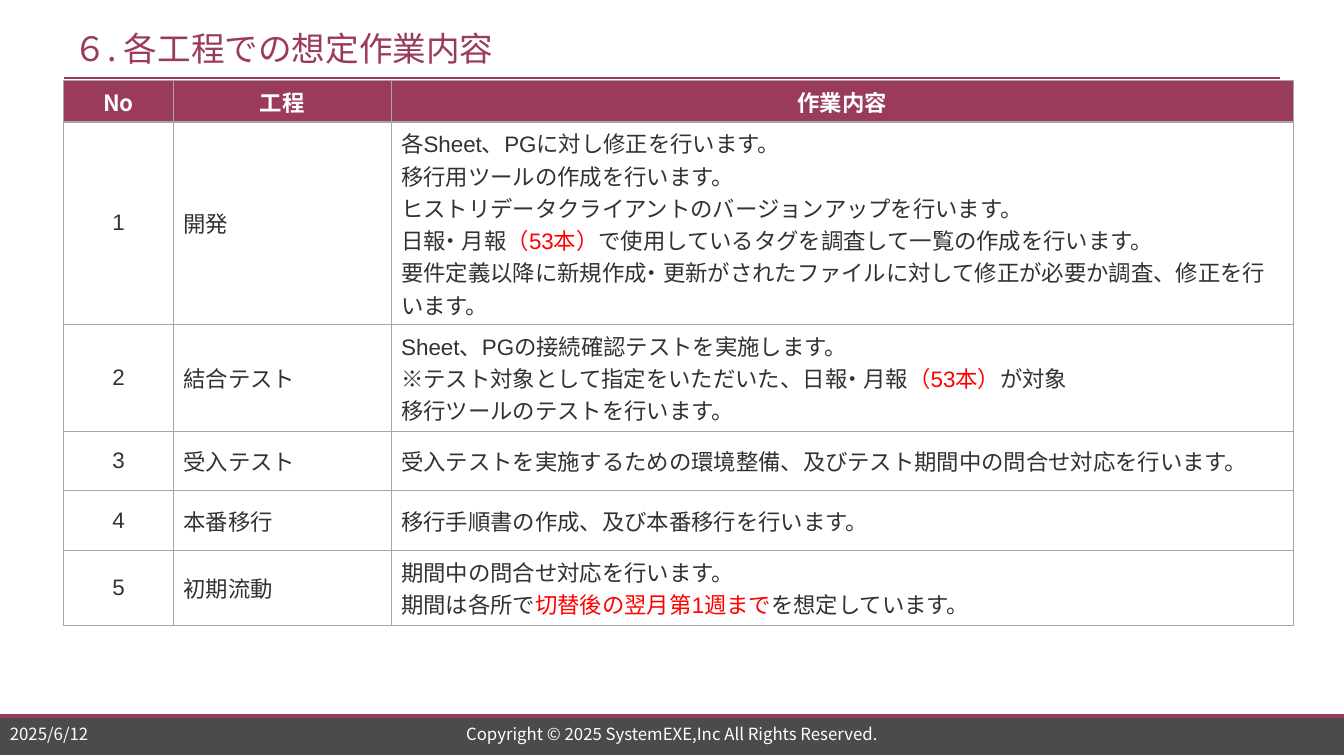
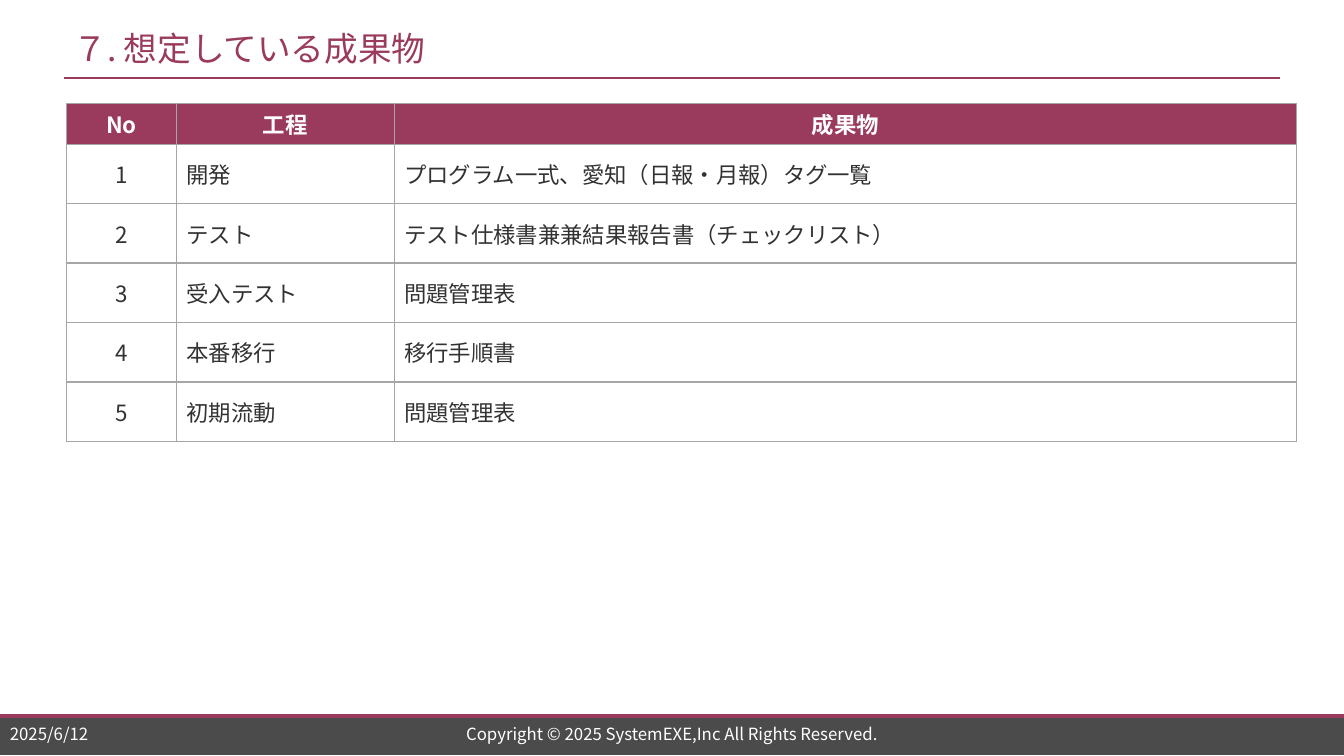
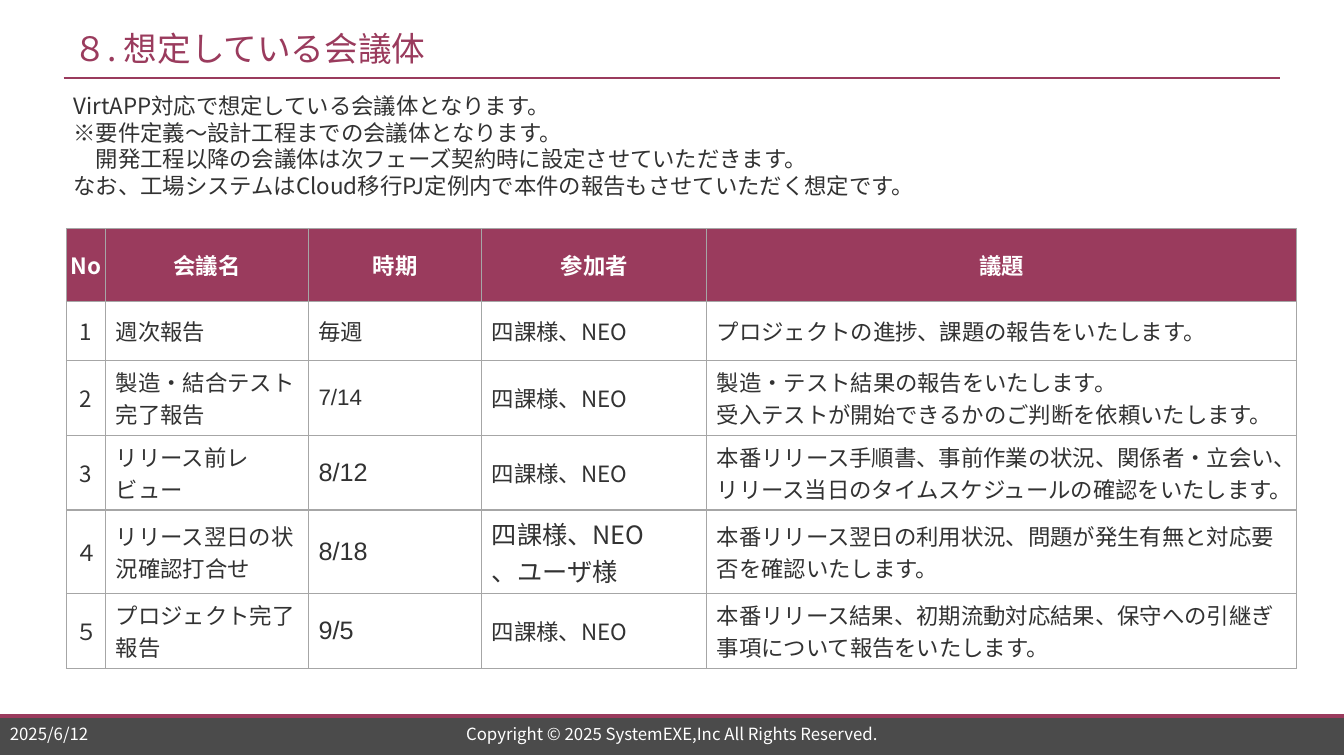
import pptx
import pptx.dml.color
import pptx.enum.shapes
import pptx.enum.text
import pptx.oxml
import pptx.oxml.ns
import pptx.util
from pptx.util import Inches

WINE, DARK, INK, RED, GRAY, WHITE = "9A3B5D", "4B4B4B", "323232", "FF0000", "A6A6A6", "FFFFFF"
SANS, ARIAL = "Noto Sans CJK JP", "Arial"
LEFT, CENTER = pptx.enum.text.PP_ALIGN.LEFT, pptx.enum.text.PP_ALIGN.CENTER
MIDDLE = pptx.enum.text.MSO_ANCHOR.MIDDLE
SLIDE_W = 13.33
ROW_H, TWO_LINES_H = 0.59, 0.74
WIDE_COLS = [1.09, 2.16, 8.95]

# Text between bars is red, text between carets is set tight;
# a new line is a new paragraph.
# A cell is a string, or (text, size, Latin font of each paragraph).
SLIDES = [
    {
        "title": "６. 各工程での想定作業内容",
        "at": (0.63, 0.8),
        "cols": WIDE_COLS,
        "font": ARIAL,
        "heights": [0.41, 2.01, 1.06, ROW_H, ROW_H, 0.75],
        "rows": [
            ["No", "工程", "作業内容"],
            ["1", "開発",
             "各Sheet、PGに対し修正を行います。\n"
             "移行用ツールの作成を行います。\n"
             "ヒストリデータクライアントのバージョンアップを行います。\n"
             "日^報・^月報|（53本）|で使用しているタグを調査して一覧の作成を行います。\n"
             "要件定義以降に新規作^成・^更新がされたファイルに対して修正が必要か調査、修正を行います。"],
            ["2", "結合テスト",
             "Sheet、PGの接続確認テストを実施します。\n"
             "※テスト対象として指定をいただいた、日^報・^月報|（53本）|が対象\n"
             "移行ツールのテストを行います。"],
            ["3", "受入テスト",
             "受入テストを実施するための環境整備、及びテスト期間中の問合せ対応を行います。"],
            ["4", "本番移行", "移行手順書の作成、及び本番移行を行います。"],
            ["5", "初期流動",
             "期間中の問合せ対応を行います。\n"
             "期間は各所で|切替後の翌月第1週まで|を想定しています。"],
        ],
    },
    {
        "title": "７. 想定している成果物",
        "at": (0.66, 1.03),
        "cols": WIDE_COLS,
        "heights": [0.4] + [ROW_H] * 5,
        "rows": [
            ["No", "工程", "成果物"],
            ["1", "開発", "プログラム一式、愛知（日報・月報）タグ一覧"],
            ["2", "テスト", "テスト仕様書兼兼結果報告書（チェックリスト）"],
            ["3", "受入テスト", "問題管理表"],
            ["4", "本番移行", "移行手順書"],
            ["5", "初期流動", "問題管理表"],
        ],
    },
    {
        "title": "８. 想定している会議体",
        "intro": "VirtAPP対応で想定している会議体となります。\n"
                 "※要件定義～設計工程までの会議体となります。\n"
                 "　開発工程以降の会議体は次フェーズ契約時に設定させていただきます。\n"
                 "なお、工場システムはCloud移行PJ定例内で本件の報告もさせていただく想定です。",
        "at": (0.66, 2.27),
        "cols": [0.39, 2.01, 1.72, 2.23, 5.85],
        "heights": [0.72, ROW_H, TWO_LINES_H, TWO_LINES_H, 0.83, TWO_LINES_H],
        "rows": [
            ["No", "会議名", "時期", "参加者", "議題"],
            ["1", "週次報告", "毎週", "四課様、NEO",
             "プロジェクトの進捗、課題の報告をいたします。"],
            ["2", "製造・結合テスト完了報告", ("7/14", 16, [ARIAL]), "四課様、NEO",
             "製造・テスト結果の報告をいたします。\n"
             "受入テストが開始できるかのご判断を依頼いたします。"],
            ["3", "リリース前レビュー", ("8/12", 18, [ARIAL]), "四課様、NEO",
             "本番リリース手順書、事前作業の状況、関係者・立会い、"
             "リリース当日のタイムスケジュールの確認をいたします。"],
            ["４", "リリース翌日の状況確認打合せ", ("8/18", 18, [ARIAL]),
             ("四課様、NEO\n、ユーザ様", 18, [SANS, "Calibri"]),
             "本番リリース翌日の利用状況、問題が発生有無と対応要否を確認いたします。"],
            ["５", "プロジェクト完了報告", ("9/5", 18, [ARIAL]), "四課様、NEO",
             "本番リリース結果、初期流動対応結果、保守への引継ぎ事項について報告をいたします。"],
        ],
    },
]


def rgb(color):
    return pptx.dml.color.RGBColor.from_string(color)


def add_run(p, text, size, color, font, bold, tight):
    r = p.add_run()
    r.text = text
    r.font.size = pptx.util.Pt(size)
    r.font.bold = bold
    r.font.name = font
    r.font.color.rgb = rgb(color)
    r.font._element.append(pptx.oxml.parse_xml(
        f'<a:ea {pptx.oxml.ns.nsdecls("a")} typeface="{SANS}"/>'))
    if tight:
        r.font._element.set("spc", "-450")


def write(tf, text, size, color, fonts=(SANS,), bold=False, align=LEFT, spacing=None):
    """Fill a text frame; the last of fonts serves all remaining paragraphs."""
    for i, line in enumerate(text.split("\n")):
        p = tf.paragraphs[0] if i == 0 else tf.add_paragraph()
        p.alignment = align
        if spacing:
            p.line_spacing = pptx.util.Pt(spacing)
        font = fonts[min(i, len(fonts) - 1)]
        for j, part in enumerate(line.split("|")):
            for k, piece in enumerate(part.split("^")):
                add_run(p, piece, size, RED if j % 2 else color, font, bold, k % 2)


def add_text(s, box, text, size, color, anchor=MIDDLE, **style):
    tf = s.shapes.add_textbox(*map(Inches, box)).text_frame
    tf.word_wrap = True
    tf.vertical_anchor = anchor
    write(tf, text, size, color, **style)


def add_rule(s, x1, x2, y, width):
    line = s.shapes.add_connector(pptx.enum.shapes.MSO_CONNECTOR.STRAIGHT,
                                  Inches(x1), Inches(y), Inches(x2), Inches(y))
    line.line.color.rgb = rgb(WINE)
    line.line.width = pptx.util.Pt(width)
    line._element.spPr.append(
        pptx.oxml.parse_xml(f'<a:effectLst {pptx.oxml.ns.nsdecls("a")}/>'))


def add_frame(s, title):
    """Draw the title, its rule and the footer."""
    band = s.shapes.add_shape(pptx.enum.shapes.MSO_SHAPE.RECTANGLE,
                              *map(Inches, (0, 7.1, SLIDE_W, 0.39)))
    band.shadow.inherit = False
    band.fill.solid()
    band.fill.fore_color.rgb = rgb(DARK)
    band.line.fill.background()
    add_rule(s, 0, SLIDE_W, 7.1, 2.75)
    add_rule(s, 0.63, 12.7, 0.77, 1.5)
    add_text(s, (0.63, 0.2, 12.07, 0.55), title, 24, WINE)
    add_text(s, (0, 7.16, 1.57, 0.24), "2025/6/12", 12, WHITE)
    add_text(s, (3.32, 7.16, 6.69, 0.24),
             "Copyright © 2025 SystemEXE,Inc All Rights Reserved.", 12, WHITE, align=CENTER)


def set_borders(cell):
    tcPr = cell._tc.get_or_add_tcPr()
    for i, side in enumerate("LRTB"):
        tcPr.insert(i, pptx.oxml.parse_xml(
            f'<a:ln{side} {pptx.oxml.ns.nsdecls("a")} w="12700"><a:solidFill>'
            f'<a:srgbClr val="{GRAY}"/></a:solidFill></a:ln{side}>'))


def fill_cell(cell, content, is_header, is_number, font):
    text, size, fonts = (content, 16, [font]) if isinstance(content, str) else content
    centered = is_header or is_number
    cell.vertical_anchor = MIDDLE
    if centered:
        cell.margin_left = cell.margin_right = Inches(0.04)
        cell.margin_top = cell.margin_bottom = Inches(0.04)
    if is_header:
        cell.fill.solid()
        cell.fill.fore_color.rgb = rgb(WINE)
    else:
        cell.fill.background()
    set_borders(cell)
    write(cell.text_frame, text, size, WHITE if is_header else INK, fonts,
          bold=is_header, align=CENTER if centered else LEFT)


def add_grid(s, at, cols, heights, rows, font):
    table = s.shapes.add_table(len(rows), len(cols), *map(
        Inches, (*at, sum(cols), sum(heights)))).table
    table.horz_banding = False
    for column, width in zip(table.columns, cols):
        column.width = Inches(width)
    for i, row in enumerate(rows):
        table.rows[i].height = Inches(heights[i])
        for j, content in enumerate(row):
            fill_cell(table.cell(i, j), content, i == 0, j == 0, font if i else SANS)


def main():
    prs = pptx.Presentation()
    prs.slide_width, prs.slide_height = Inches(SLIDE_W), Inches(7.5)
    for data in SLIDES:
        s = prs.slides.add_slide(prs.slide_layouts[6])
        add_frame(s, data["title"])
        if "intro" in data:
            add_text(s, (0.63, 0.87, 11.99, 1.18), data["intro"], 16, INK,
                     anchor=pptx.enum.text.MSO_ANCHOR.TOP, spacing=19)
        add_grid(s, data["at"], data["cols"], data["heights"], data["rows"],
                 data.get("font", SANS))
    prs.save("out.pptx")


if __name__ == "__main__":
    main()
